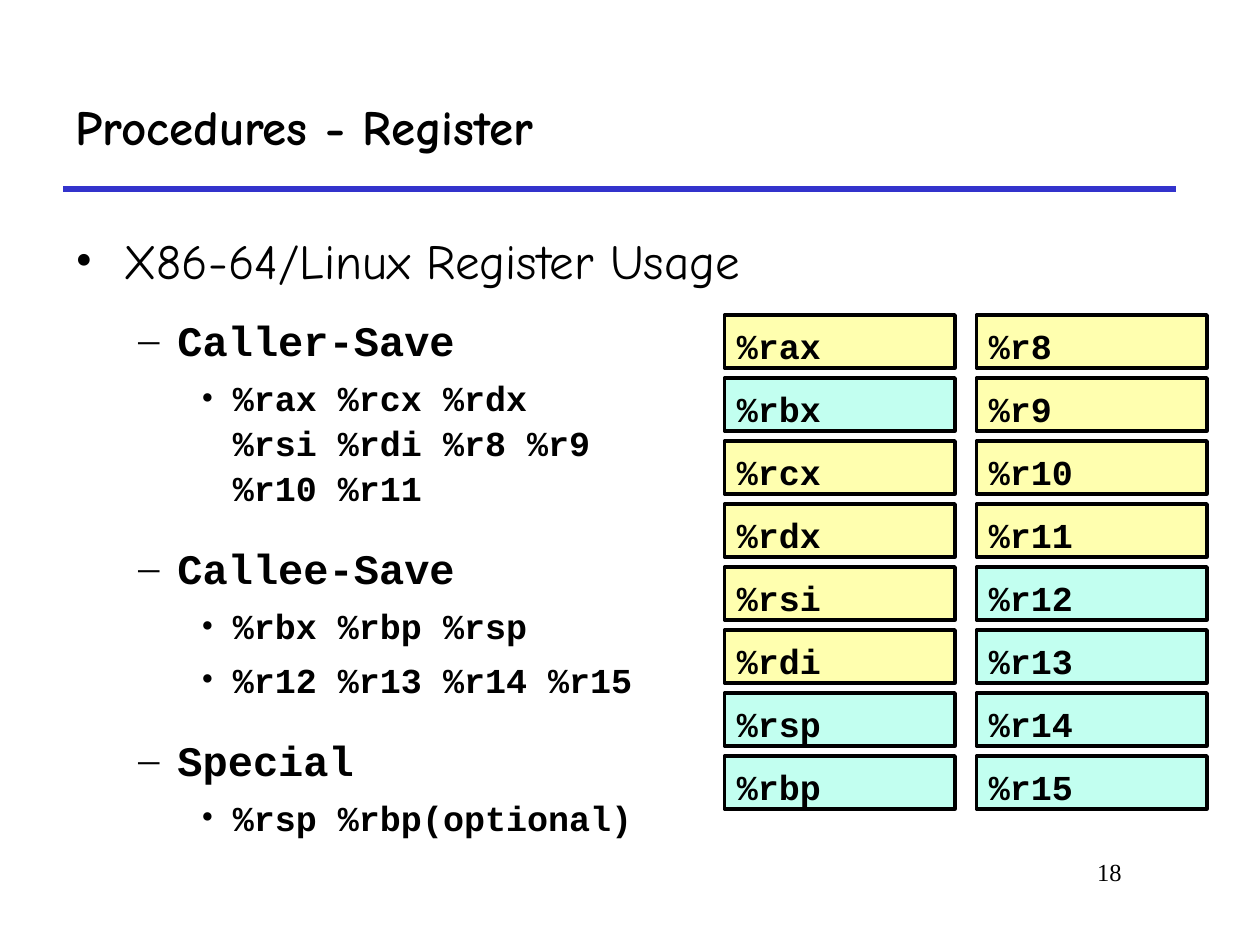
from dataclasses import dataclass

from lxml.etree import SubElement
from pptx import Presentation
from pptx.dml.color import RGBColor
from pptx.enum.shapes import MSO_CONNECTOR, MSO_SHAPE
from pptx.enum.text import MSO_ANCHOR, PP_ALIGN
from pptx.oxml.ns import qn
from pptx.util import Inches, Pt


@dataclass(frozen=True)
class Theme:
    ink: RGBColor = RGBColor(0, 0, 0)
    rule: RGBColor = RGBColor(0x33, 0x33, 0xCC)
    caller: RGBColor = RGBColor(0xFF, 0xFF, 0xAF)
    callee: RGBColor = RGBColor(0xC2, 0xFF, 0xF0)
    heading_font: str = "Comic Neue"
    code_font: str = "Courier New"
    serif_font: str = "Times New Roman"
    heading: int = 28
    group: int = 24
    register: int = 20
    footer: int = 14


THEME = Theme()

# level: (bullet, left margin, hanging indent, font, size, bold)
LEVELS = [
    ("•", 0.38, 0.38, THEME.heading_font, THEME.heading, False),
    ("–", 0.81, 0.31, THEME.code_font, THEME.group, True),
    ("•", 1.25, 0.25, THEME.code_font, THEME.register, True),
]

# (level, space before, lines)
OUTLINE = [
    (0, 0, ["X86-64/Linux Register Usage"]),
    (1, 12, ["Caller-Save"]),
    (2, 5, ["%rax %rcx %rdx", "%rsi %rdi %r8 %r9", "%r10 %r11"]),
    (1, 17.5, ["Callee-Save"]),
    (2, 5, ["%rbx %rbp %rsp"]),
    (2, 5, ["%r12 %r13 %r14 %r15"]),
    (1, 17.5, ["Special"]),
    (2, 5, ["%rsp %rbp(optional)"]),
]

REGISTER_COLUMNS = [
    ["%rax", "%rbx", "%rcx", "%rdx", "%rsi", "%rdi", "%rsp", "%rbp"],
    ["%r8", "%r9", "%r10", "%r11", "%r12", "%r13", "%r14", "%r15"],
]
CALLEE_SAVED = {"%rbx", "%rsp", "%rbp", "%r12", "%r13", "%r14", "%r15"}


def add_run(p, text, font, size, bold=False):
    r = p.add_run()
    r.text = text
    r.font.name = font
    r.font.size = Pt(size)
    r.font.bold = bold
    r.font.color.rgb = THEME.ink


def add_text_box(s, left, top, width, height):
    tf = s.shapes.add_textbox(
        Inches(left), Inches(top), Inches(width), Inches(height)).text_frame
    tf.word_wrap = True
    return tf


def set_bullet(p, char, margin, hanging):
    pPr = p._p.get_or_add_pPr()
    pPr.set("marL", str(Inches(margin)))
    pPr.set("indent", str(-Inches(hanging)))
    SubElement(pPr, qn("a:buFont"), typeface=THEME.serif_font)
    SubElement(pPr, qn("a:buChar"), char=char)


def add_title(s, left, top, width, height):
    tf = add_text_box(s, left, top, width, height)
    tf.vertical_anchor = MSO_ANCHOR.MIDDLE
    add_run(tf.paragraphs[0], "Procedures - Register",
            THEME.heading_font, THEME.heading, True)
    bottom = Inches(top + height)
    rule = s.shapes.add_connector(
        MSO_CONNECTOR.STRAIGHT, Inches(left), bottom, Inches(left + width), bottom)
    rule.line.color.rgb = THEME.rule
    rule.line.width = Pt(3)
    SubElement(rule._element.spPr, qn("a:effectLst"))


def add_outline(s, left, top, width, height):
    tf = add_text_box(s, left, top, width, height)
    for i, (level, space, lines) in enumerate(OUTLINE):
        char, margin, hanging, font, size, bold = LEVELS[level]
        p = tf.add_paragraph() if i else tf.paragraphs[0]
        p.level = level
        p.line_spacing = 1.07
        p.space_before = Pt(space)
        set_bullet(p, char, margin, hanging)
        for n, line in enumerate(lines):
            if n:
                p.add_line_break()
            add_run(p, line, font, size, bold)


def add_register(s, name, left, top, width, height):
    sp = s.shapes.add_shape(
        MSO_SHAPE.RECTANGLE, Inches(left), Inches(top), Inches(width), Inches(height))
    sp.shadow.inherit = False
    sp.fill.solid()
    sp.fill.fore_color.rgb = THEME.callee if name in CALLEE_SAVED else THEME.caller
    sp.line.color.rgb = THEME.ink
    sp.line.width = Pt(2)
    tf = sp.text_frame
    tf.word_wrap = True
    tf.vertical_anchor = MSO_ANCHOR.MIDDLE
    tf.margin_top = Inches(0.12)
    p = tf.paragraphs[0]
    p.alignment = PP_ALIGN.LEFT
    add_run(p, name, THEME.code_font, THEME.register, True)


def add_register_grid(s, left, top, col_pitch, row_pitch):
    for col, names in enumerate(REGISTER_COLUMNS):
        for row, name in enumerate(names):
            add_register(s, name, left + col * col_pitch, top + row * row_pitch,
                         col_pitch - 0.17, row_pitch - 0.08)


def add_page_number(s, left, top, width, height):
    p = add_text_box(s, left, top, width, height).paragraphs[0]
    p.alignment = PP_ALIGN.RIGHT
    add_run(p, "18", THEME.serif_font, THEME.footer)


def main():
    prs = Presentation()
    prs.slide_width, prs.slide_height = Inches(10), Inches(7.5)
    s = prs.slides.add_slide(prs.slide_layouts[6])
    add_title(s, 0.5, 0.5, 8.83, 1)
    add_outline(s, 0.5, 1.75, 9, 5.42)
    add_page_number(s, 7.58, 6.75, 1.42, 0.5)
    add_register_grid(s, 5.75, 2.5, col_pitch=2, row_pitch=0.5)
    prs.save("out.pptx")


if __name__ == "__main__":
    main()
